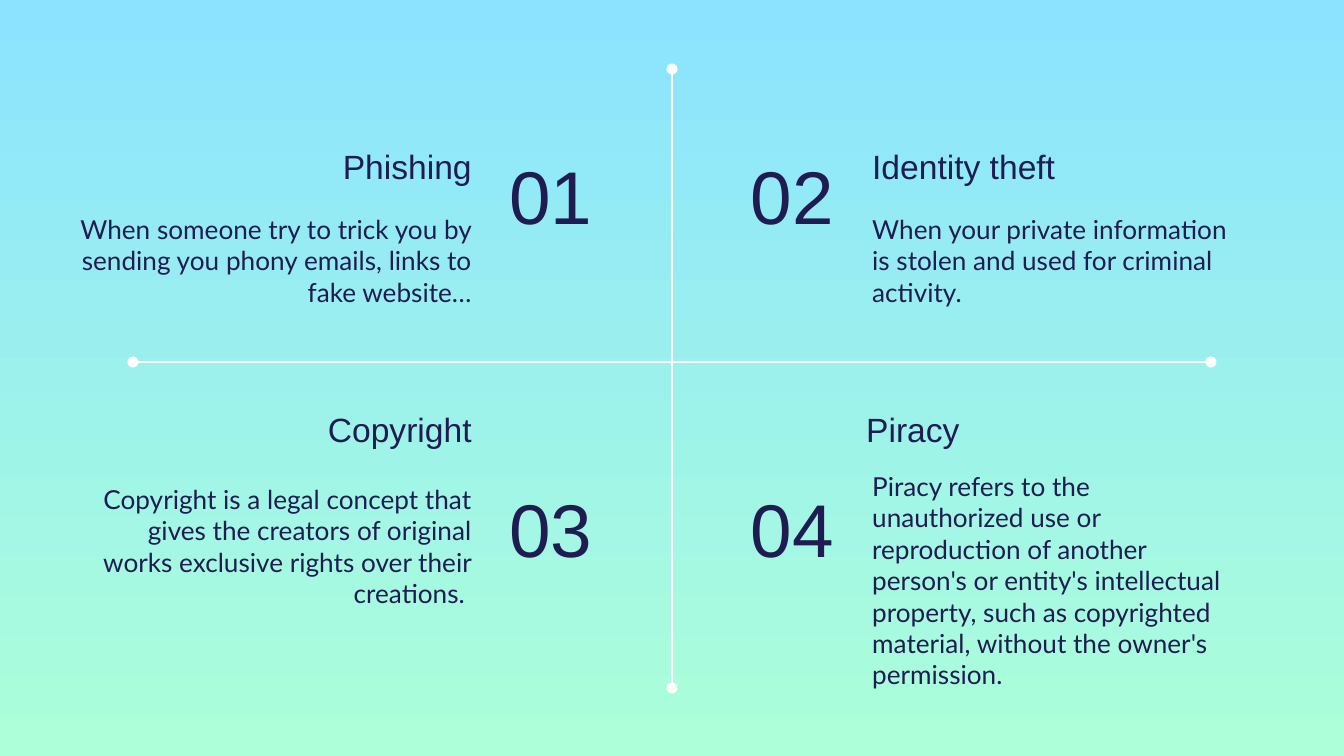
from lxml.etree import SubElement
from pptx import Presentation
from pptx.dml.color import RGBColor
from pptx.enum.shapes import MSO_CONNECTOR
from pptx.enum.text import MSO_ANCHOR as Anchor, MSO_AUTO_SIZE as AutoSize, PP_ALIGN as Align
from pptx.oxml.ns import qn
from pptx.util import Emu, Inches, Pt

COLORS = {"sky": "8BE3FF", "mint": "ACFFD9", "navy": "1F1C51", "white": "FFFFFF"}
PX = 914400 / 134.4


def px(*lengths):
    return [Emu(round(length * PX)) for length in lengths]


def write(box, place, text, font, size, align, anchor):
    box.left, box.top, box.width, box.height = px(*place)
    frame = box.text_frame
    frame.word_wrap = True
    frame.auto_size = AutoSize.NONE
    frame.vertical_anchor = anchor
    frame.margin_left = frame.margin_right = Inches(0.1)
    frame.margin_top = frame.margin_bottom = Inches(0.1)
    frame.text = text
    para = frame.paragraphs[0]
    para.alignment = align
    para.font.name = font
    para.font.size = Pt(size)
    para.font.color.rgb = RGBColor.from_string(COLORS["navy"])


deck = Presentation()
deck.slide_width, deck.slide_height = px(1344, 756)
page = deck.slides.add_slide(deck.slide_layouts[5])

# Background running from sky at the top to mint at the bottom
fill = page.background.fill
fill.gradient()
fill.gradient_angle = 270
for stop, name, position in zip(fill.gradient_stops, ("sky", "mint"), (0, 1)):
    stop.color.rgb = RGBColor.from_string(COLORS[name])
    stop.position = position

# Cross with round ends
for ends in [(672, 69, 672, 688), (133, 362, 1211, 362)]:
    axis = page.shapes.add_connector(MSO_CONNECTOR.STRAIGHT, *px(*ends))
    axis.line.color.rgb = RGBColor.from_string(COLORS["white"])
    axis.line.width = Pt(1.5)
    outline = axis.line._get_or_add_ln()
    for end in ("a:headEnd", "a:tailEnd"):
        SubElement(outline, qn(end), type="oval")
    SubElement(axis._element.spPr, qn("a:effectLst"))

# Four quadrants: number place, heading place, body place, side, heading, body
quadrants = [
    ((496, 137), (85, 133), (48, 200, 437, 93), Align.RIGHT, "Phishing",
     "When someone try to trick you by sending you phony emails, links to fake website…"),
    ((672, 137), (859, 133), (859, 200, 400, 93), Align.LEFT, "Identity theft",
     "When your private information is stolen and used for criminal activity."),
    ((496, 470), (85, 396), (85, 470, 400, 93), Align.RIGHT, "Copyright",
     "Copyright is a legal concept that gives the creators of original works "
     "exclusive rights over their creations. "),
    ((672, 470), (853, 396), (859, 457, 400, 175), Align.LEFT, "Piracy",
     "Piracy refers to the unauthorized use or reproduction of another person's or "
     "entity's intellectual property, such as copyrighted material, without the "
     "owner's permission."),
]
for index, (number_at, heading_at, body_at, side, heading, body) in enumerate(quadrants):
    number_box = page.shapes.add_textbox(0, 0, 0, 0) if index else page.shapes.title
    number_side = Align.LEFT if side == Align.RIGHT else Align.RIGHT
    write(number_box, (*number_at, 175, 116), f"{index + 1:02}", "Arial", 40,
          number_side, Anchor.MIDDLE)
    write(page.shapes.add_textbox(0, 0, 0, 0), (*heading_at, 400, 67), heading,
          "Arial", 18, side, Anchor.BOTTOM)
    write(page.shapes.add_textbox(0, 0, 0, 0), body_at, body, "Lato", 14, side, Anchor.TOP)

deck.save("out.pptx")
